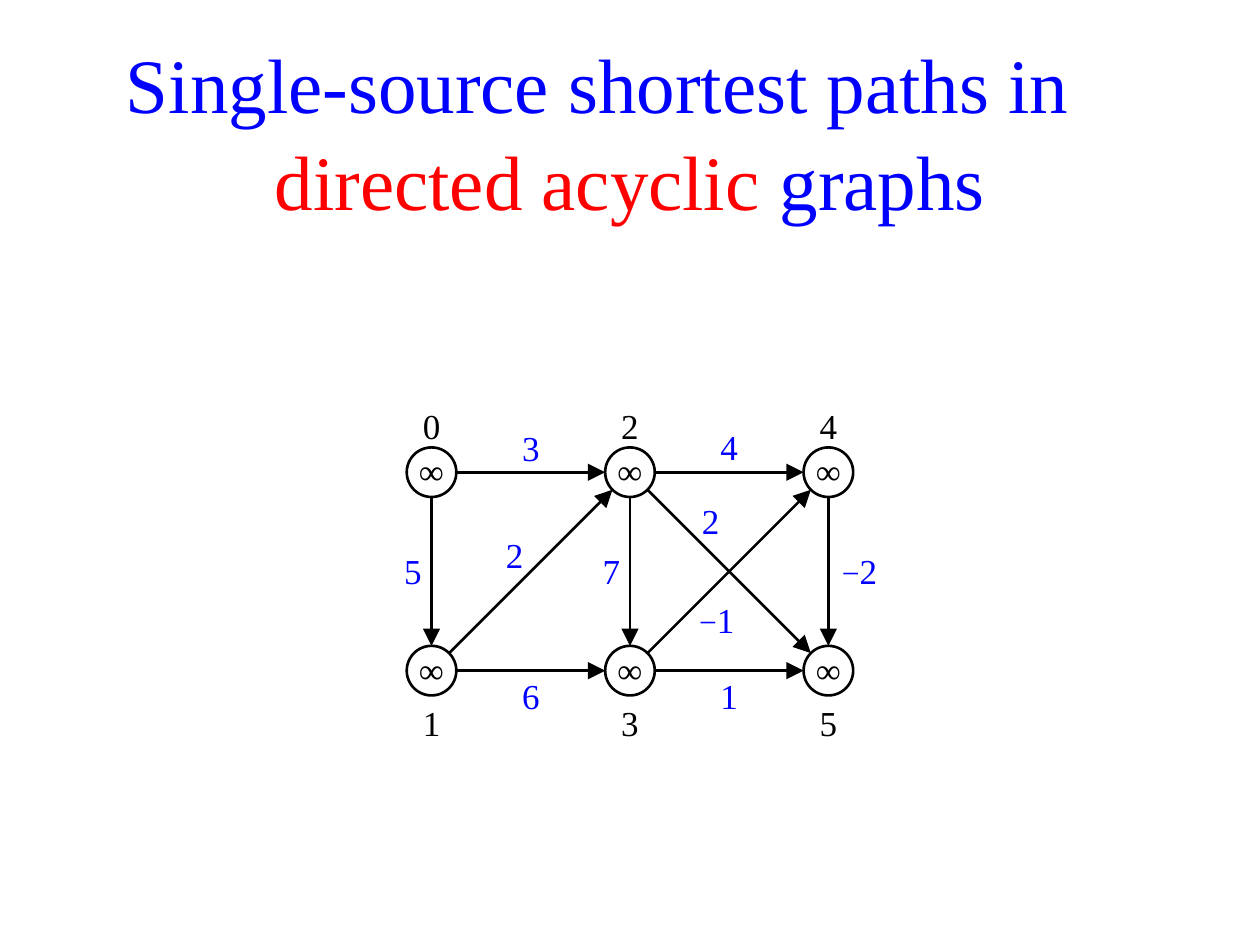
from math import hypot

from lxml import etree
from pptx import Presentation
from pptx.dml.color import RGBColor
from pptx.enum.shapes import MSO_CONNECTOR, MSO_SHAPE
from pptx.enum.text import MSO_ANCHOR, PP_ALIGN
from pptx.oxml.ns import qn
from pptx.util import Cm, Pt

MID, LEFT, RIGHT = PP_ALIGN.CENTER, PP_ALIGN.LEFT, PP_ALIGN.RIGHT
ANCHOR = MSO_ANCHOR.MIDDLE
OVAL, LINE = MSO_SHAPE.OVAL, MSO_CONNECTOR.STRAIGHT
FONT = "Times New Roman"
INK = {"black": "000000", "white": "FFFFFF", "blue": "0000FF", "red": "FF0000"}

TITLE = [("Single-source shortest paths in \t", 44, "blue"),
         ("directed acyclic", 44, "red"), (" graphs", 44, "blue")]

# Nodes are numbered down each column, two to a column
NODES = ["∞"] * 6
EDGES = [(1, 2), (2, 3), (3, 4), (4, 5), (1, 3),
         (3, 5), (0, 2), (2, 4), (2, 5), (0, 1)]

# Insets are left, top, right, bottom in cm
INSET = (0.25, 0, 0.25, 0.05)
FLAT = (0.25, 0, 0.25, 0)
SIDE = (0.25, 0, 0.2, 0.05)
TIGHT = (0.25, 0, 0, 0.05)
NAME = (0.25, 0.1, 0.25, 0)

# Weights: text, centre from node 0 in cm, box side lengths, align, insets
WEIGHTS = [
    ("5", -0.5, 2, 1, 1, RIGHT, SIDE),
    ("2", 1.75, 1.75, 1.5, 1.5, MID, (0.1, 0, 0.25, 0.2)),
    ("7", 3.5, 2, 1, 1, RIGHT, SIDE),
    ("−1", 5.75, 3, 1.5, 1, MID, INSET),
    ("−2", 8.5, 2, 1, 1, MID, TIGHT),
    ("6", 2, 4.5, 1, 1, MID, FLAT),
    ("1", 6, 4.5, 1, 1, MID, FLAT),
    ("3", 2, -0.5, 1, 1, MID, FLAT),
    ("4", 6, -0.5, 1, 1, MID, INSET),
    ("2", 5.5, 1, 1, 1, MID, TIGHT),
]

X0, Y0, STEP, SIZE = 8.7, 9.52, 4, 1

deck = Presentation()
deck.slide_width, deck.slide_height = Cm(25.4), Cm(19.05)
slide = deck.slides.add_slide(deck.slide_layouts[6])
parts = slide.shapes


def color(key):
    return RGBColor.from_string(INK[key])


def write(shape, runs, align=MID, inset=INSET, wrap=False):
    frame = shape.text_frame
    frame.word_wrap = wrap
    frame.vertical_anchor = ANCHOR
    (frame.margin_left, frame.margin_top,
     frame.margin_right, frame.margin_bottom) = map(Cm, inset)
    para = frame.paragraphs[0]
    para.alignment = align
    for text, size, key in runs:
        run = para.add_run()
        run.text = text
        run.font.name, run.font.size = FONT, Pt(size)
        run.font.color.rgb = color(key)
    return para


def box(x, y, wide=SIZE, high=SIZE):
    """Bounds of a box centred on x, y."""
    return Cm(x - wide / 2), Cm(y - high / 2), Cm(wide), Cm(high)


def spot(num):
    col, row = divmod(num, 2)
    return X0 + col * STEP, Y0 + row * STEP


# Title
head = parts.add_textbox(Cm(1.7), Cm(0.6), Cm(22), Cm(4))
write(head, TITLE, inset=(0.25, 0.13, 0.25, 0.13), wrap=True).line_spacing = 1.05

# Nodes
for num, text in enumerate(NODES):
    node = parts.add_shape(OVAL, *box(*spot(num)))
    node.shadow.inherit = False
    node.fill.solid()
    node.fill.fore_color.rgb = color("white")
    node.line.color.rgb = color("black")
    node.line.width = Pt(1.5)
    write(node, [(text, 20, "black")])

# Edge weights, with a smaller minus sign
for text, dx, dy, wide, high, align, inset in WEIGHTS:
    runs = [(sign, 18 if sign == "−" else 20, "blue") for sign in text]
    write(parts.add_textbox(*box(X0 + dx, Y0 + dy, wide, high)),
          runs, align, inset)

# Node numbers, above the top row and below the bottom row
for num in range(len(NODES)):
    x, y = spot(num)
    y += SIZE if num % 2 else -SIZE
    write(parts.add_textbox(*box(x, y)), [(str(num), 20, "black")], inset=NAME)

# Edges run from rim to rim
for start, end in EDGES:
    (x1, y1), (x2, y2) = spot(start), spot(end)
    cut = SIZE / 2 / hypot(x2 - x1, y2 - y1)
    dx, dy = (x2 - x1) * cut, (y2 - y1) * cut
    edge = parts.add_connector(LINE, Cm(x1 + dx), Cm(y1 + dy),
                               Cm(x2 - dx), Cm(y2 - dy))
    edge.line.color.rgb = color("black")
    edge.line.width = Pt(1.5)
    etree.SubElement(edge.line._get_or_add_ln(), qn("a:tailEnd"),
                     type="triangle", w="lg", len="lg")
    etree.SubElement(edge._element.spPr, qn("a:effectLst"))

deck.save("out.pptx")
